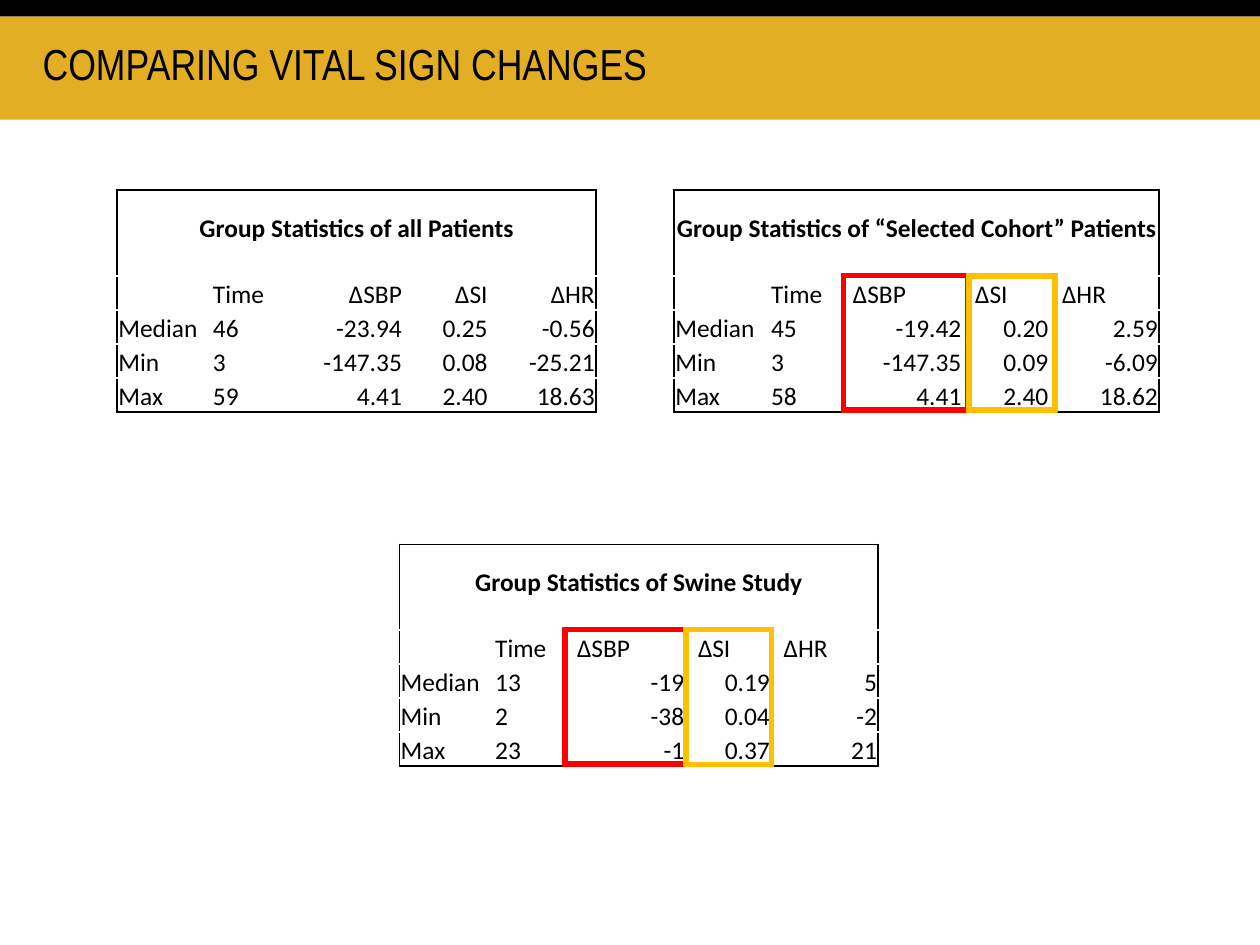
"""Build the slide that compares vital sign changes across three groups."""
import dataclasses

import pptx
import pptx.chart.data
import pptx.dml.color
import pptx.enum.shapes
import pptx.enum.text
import pptx.oxml
import pptx.oxml.ns
import pptx.util

Inches = pptx.util.Inches
Pt = pptx.util.Pt
Shape = pptx.enum.shapes.MSO_SHAPE
Align = pptx.enum.text.PP_ALIGN
Anchor = pptx.enum.text.MSO_ANCHOR

COLORS = {
    "gold": "E3AE24",
    "black": "000000",
    "white": "FFFFFF",
    "red": "FF0000",
    "amber": "FFC000",
}
HEADS = ["", "Time", "ΔSBP", "ΔSI", "ΔHR"]
INDENTS = [0.01, 0.01, 0.06, 0.1, 0.1]
NARROW = [0.75, 0.6, 0.92, 0.68, 0.85]
WIDE = [0.76, 0.6, 0.93, 0.69, 0.87]
HEIGHTS = [0.68, 0.27, 0.27, 0.27, 0.27]
SIZE = 14.5


@dataclasses.dataclass
class Group:
    """One statistics table."""
    title: str
    left: float
    top: float
    cols: list[float]
    rows: list[list[str]]
    heads: Align = Align.LEFT


@dataclasses.dataclass
class Frame:
    """One highlight around a table column."""
    left: float
    top: float
    width: float
    color: str
    adjust: float


GROUPS = [
    Group("Group Statistics of all Patients", 0.93, 1.51, NARROW, [
        ["Median", "46", "-23.94", "0.25", "-0.56"],
        ["Min", "3", "-147.35", "0.08", "-25.21"],
        ["Max", "59", "4.41", "2.40", "18.63"],
    ], Align.RIGHT),
    Group("Group Statistics of “Selected Cohort” Patients", 5.35, 1.51, WIDE, [
        ["Median", "45", "-19.42", "0.20", "2.59"],
        ["Min", "3", "-147.35", "0.09", "-6.09"],
        ["Max", "58", "4.41", "2.40", "18.62"],
    ]),
    Group("Group Statistics of Swine Study", 3.17, 4.32, NARROW, [
        ["Median", "13", "-19", "0.19", "5"],
        ["Min", "2", "-38", "0.04", "-2"],
        ["Max", "23", "-1", "0.37", "21"],
    ]),
]
FRAMES = [
    Frame(6.68, 2.17, 1.02, "red", 0.03),
    Frame(4.47, 4.98, 0.99, "red", 0.03),
    Frame(7.67, 2.17, 0.72, "amber", 0.05),
    Frame(5.43, 4.98, 0.71, "amber", 0.04),
]


def paint(name: str) -> pptx.dml.color.RGBColor:
    """Return a named colour."""
    return pptx.dml.color.RGBColor.from_string(COLORS[name])


def add_run(para, text: str, font: str, size: float, bold: bool = False) -> None:
    """Add one black run to a paragraph."""
    run = para.add_run()
    run.text = text
    run.font.name = font
    run.font.size = Pt(size)
    run.font.bold = bold
    run.font.color.rgb = paint("black")


def add_block(slide, kind: Shape, box: tuple, color: str):
    """Add a filled shape without outline or shadow."""
    shape = slide.shapes.add_shape(kind, *map(Inches, box))
    shape.shadow.inherit = False
    shape.fill.solid()
    shape.fill.fore_color.rgb = paint(color)
    shape.line.fill.background()
    return shape


def add_edges(cell, sides: dict[str, bool]) -> None:
    """Draw outer edges black and inner edges white."""
    props = cell._tc.get_or_add_tcPr()
    space = pptx.oxml.ns.nsdecls("a")
    for spot, (side, outer) in enumerate(sides.items()):
        color = COLORS["black" if outer else "white"]
        props.insert(spot, pptx.oxml.parse_xml(
            f'<a:ln{side} {space} w="12700"><a:solidFill>'
            f'<a:srgbClr val="{color}"/></a:solidFill></a:ln{side}>'))


def fill_cell(cell, text: str, align: Align, indent: float, bold: bool) -> None:
    """Write one cell, keeping its line height when empty."""
    cell.vertical_anchor = Anchor.BOTTOM
    cell.margin_left = Inches(indent)
    cell.margin_right = cell.margin_top = Inches(0.01)
    cell.margin_bottom = Inches(0.25 if bold else 0)
    para = cell.text_frame.paragraphs[0]
    para.alignment = align
    if text:
        add_run(para, text, "Calibri", SIZE, bold)
    else:
        para._p.append(pptx.oxml.parse_xml(
            f'<a:endParaRPr {pptx.oxml.ns.nsdecls("a")} sz="{int(SIZE * 100)}"/>'))


def add_group(slide, group: Group) -> None:
    """Add one statistics table."""
    texts = [[group.title, "", "", "", ""], HEADS, *group.rows]
    last = len(texts) - 1
    end = len(group.cols) - 1
    box = (group.left, group.top, sum(group.cols), sum(HEIGHTS))
    table = slide.shapes.add_table(last + 1, end + 1, *map(Inches, box)).table
    table.first_row = table.horz_banding = False
    for col, width in zip(table.columns, group.cols):
        col.width = Inches(width)
    for row, height in zip(table.rows, HEIGHTS):
        row.height = Inches(height)
    table.cell(0, 0).merge(table.cell(0, end))
    for r, line in enumerate(texts):
        for c, text in enumerate(line):
            cell = table.cell(r, c)
            cell.fill.background()
            align, indent = Align.LEFT, 0.01
            if r == 0:
                align = Align.CENTER
            elif c > 1:
                align = group.heads if r == 1 else Align.RIGHT
                if align == Align.LEFT:
                    indent = INDENTS[c]
            fill_cell(cell, text, align, indent, r == 0)
            add_edges(cell, {"L": c == 0, "R": c == end or r == 0,
                             "T": r == 0, "B": r == last})


def add_frame(slide, frame: Frame) -> None:
    """Add one column highlight."""
    box = (frame.left, frame.top, frame.width, 1.1)
    shape = add_block(slide, Shape.FRAME, box, frame.color)
    shape.adjustments[0] = frame.adjust
    shape.line.color.rgb = paint(frame.color)
    shape.line.width = Pt(1)


def add_title(slide) -> None:
    """Add the heading."""
    box = slide.shapes.add_textbox(*map(Inches, (0.24, 0.29, 8.96, 0.75)))
    box.text_frame.word_wrap = True
    para = box.text_frame.paragraphs[0]
    para.line_spacing = 0.9
    add_run(para, "COMPARING VITAL SIGN CHANGES", "Arial Narrow", 24.8)


def main() -> None:
    """Build and save the deck."""
    deck = pptx.Presentation()
    deck.slide_width, deck.slide_height = Inches(10), Inches(7.5)
    slide = deck.slides.add_slide(deck.slide_layouts[6])
    add_block(slide, Shape.RECTANGLE, (0, 0.13, 10, 0.82), "gold")
    add_block(slide, Shape.RECTANGLE, (0, 0, 10, 0.13), "black")
    add_title(slide)
    for group in GROUPS:
        add_group(slide, group)
    for frame in FRAMES:
        add_frame(slide, frame)
    deck.save("out.pptx")


if __name__ == "__main__":
    main()
